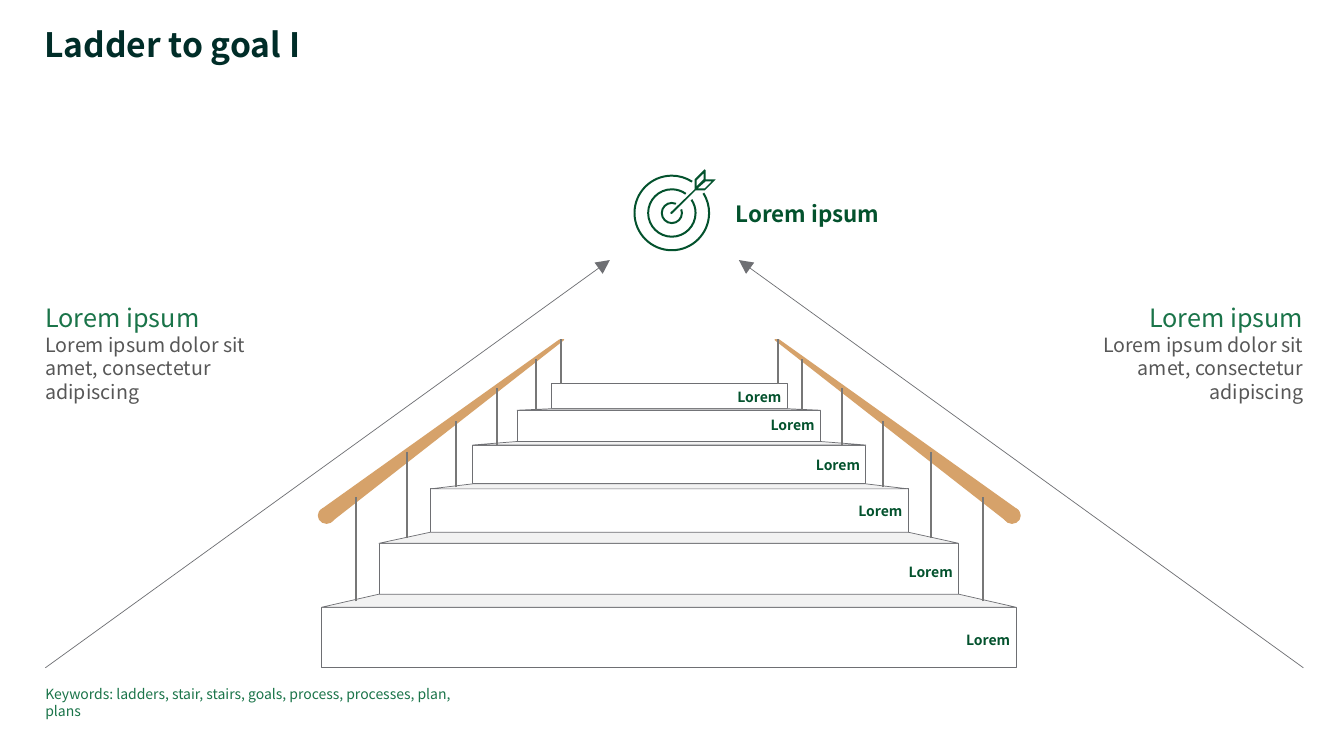
import dataclasses
import itertools
import math

import lxml.etree
import pptx
import pptx.dml.color
import pptx.enum.shapes
import pptx.enum.text
import pptx.oxml.ns
import pptx.shapes.base
import pptx.slide
import pptx.util

Align = pptx.enum.text.PP_ALIGN
Anchor = pptx.enum.text.MSO_ANCHOR
Point = tuple[float, float]

# All lengths are in cells of a grid of 133.33 columns by 75 rows.
COLUMNS, ROWS = 133.33, 75
CELL = pptx.util.Inches(0.1)
STAIR_AXIS = 66.4
ARROW_AXIS = 66.9
TARGET_CENTRE = (66.65, 21.13)


@dataclasses.dataclass(frozen=True)
class Theme:
    font: str = "Noto Sans CJK JP"
    title: str = "002D28"
    dark_green: str = "03522D"
    green: str = "1A7449"
    body: str = "575757"
    outline: str = "6E6F73"
    post: str = "777777"
    tread: str = "F2F2F2"
    wood: str = "D6A26A"
    title_size: float = 24
    heading_size: float = 18
    goal_size: float = 16
    body_size: float = 14
    small_size: float = 10
    thin: float = 0.5
    rail: float = 1
    thick: float = 1.5


THEME = Theme()


@dataclasses.dataclass(frozen=True)
class Step:
    left: float
    top: float
    width: float
    height: float
    label_top: float

    @property
    def right(self) -> float:
        return self.left + self.width

    @property
    def bottom(self) -> float:
        return self.top + self.height


@dataclasses.dataclass(frozen=True)
class Post:
    offset: float
    bottom: float
    top: float


@dataclasses.dataclass(frozen=True)
class Ring:
    radius: float
    gap_start: float
    gap_end: float


@dataclasses.dataclass(frozen=True)
class Line:
    text: str
    size: float
    color: str
    bold: bool = False


STEPS = [Step(31.9, 60.25, 68.9, 5.98, 62.25), Step(37.6, 53.9, 57.5, 5.05, 55.5),
         Step(42.7, 48.5, 47.4, 4.3, 49.5), Step(46.9, 44.15, 39, 3.85, 44.9),
         Step(51.3, 40.7, 30.1, 3.1, 41), Step(54.7, 38.05, 23.4, 2.5, 38.2)]
POSTS = [Post(31.1, 59.65, 49.35), Post(26, 53.4, 44.8), Post(21.2, 48.35, 41.8),
         Post(17.1, 44.15, 38.45), Post(13.2, 40.7, 35.65), Post(10.75, 38.1, 33.65)]
RAIL = [(34.6, 50.65), (10.9, 33.75), (10.5, 33.7), (33.6, 51.75)]
RINGS = [Ring(3.8, 32, 57), Ring(2.45, 34, 54), Ring(1.1, 21, 66)]
RING_THICKNESS = 0.2
DART = [
    [(71, 17.8), (70, 17.8), (70, 16.9), (69.9, 16.8), (68.9, 17.8), (68.9, 18.8), (66.5, 21.1),
     (66.55, 21.25), (66.7, 21.2), (69, 18.9), (69.9, 18.9), (70.9, 17.9)],
    [(69.1, 17.9), (69.8, 17.2), (69.8, 17.8), (69.1, 18.5)],
    [(69.9, 18.7), (69.2, 18.7), (70, 18), (70.6, 18)],
]


def cells(value: float) -> int:
    return round(value * CELL)


def color(code: str) -> pptx.dml.color.RGBColor:
    return pptx.dml.color.RGBColor.from_string(code)


def paint(shape: pptx.shapes.base.BaseShape, fill: str | None, line: str | None, width: float = 0) -> None:
    shape.shadow.inherit = False
    if fill:
        shape.fill.solid()
        shape.fill.fore_color.rgb = color(fill)
    else:
        shape.fill.background()
    if line:
        shape.line.color.rgb = color(line)
        shape.line.width = pptx.util.Pt(width)
    else:
        shape.line.fill.background()


def add_outline(shapes, contours: list[list[Point]]):
    """Build one freeform from one or more closed contours."""
    scaled = [[(cells(x), cells(y)) for x, y in contour] for contour in contours]
    builder = shapes.build_freeform(*scaled[0][0])
    for index, contour in enumerate(scaled):
        if index:
            builder.move_to(*contour[0])
        builder.add_line_segments(contour[1:], close=True)
    return builder.convert_to_shape()


def add_line(slide: pptx.slide.Slide, start: Point, end: Point, line: str, width: float,
             arrow: bool = False) -> None:
    connector = slide.shapes.add_connector(
        pptx.enum.shapes.MSO_CONNECTOR.STRAIGHT, *map(cells, (*start, *end)))
    connector.line.color.rgb = color(line)
    connector.line.width = pptx.util.Pt(width)
    if arrow:
        lxml.etree.SubElement(connector.line._get_or_add_ln(), pptx.oxml.ns.qn("a:tailEnd"),
                              type="triangle", w="lg", len="lg")
    lxml.etree.SubElement(connector._element.spPr, pptx.oxml.ns.qn("a:effectLst"))


def add_text(slide: pptx.slide.Slide, box: tuple[float, float, float, float], lines: list[Line],
             align: Align = Align.LEFT, anchor: Anchor = Anchor.MIDDLE, grow: bool = False,
             spacing: float | None = None) -> None:
    frame = slide.shapes.add_textbox(*map(cells, box)).text_frame
    frame.margin_left = frame.margin_right = frame.margin_top = frame.margin_bottom = 0
    frame.word_wrap = True
    frame.vertical_anchor = anchor
    if grow:
        frame.auto_size = pptx.enum.text.MSO_AUTO_SIZE.SHAPE_TO_FIT_TEXT
    for index, line in enumerate(lines):
        paragraph = frame.add_paragraph() if index else frame.paragraphs[0]
        paragraph.alignment = align
        if spacing:
            paragraph.line_spacing = spacing
        run = paragraph.add_run()
        run.text = line.text
        run.font.name = THEME.font
        run.font.size = pptx.util.Pt(line.size)
        run.font.bold = line.bold
        run.font.color.rgb = color(line.color)


def add_stairs(slide: pptx.slide.Slide) -> None:
    for step in STEPS:
        riser = slide.shapes.add_shape(pptx.enum.shapes.MSO_SHAPE.RECTANGLE, *map(
            cells, (step.left, step.top, step.width, step.height)))
        paint(riser, None, THEME.outline, THEME.thin)
    for front, back in itertools.pairwise(STEPS):
        tread = add_outline(slide.shapes, [[(front.left, front.top), (back.left, back.bottom),
                                            (back.right, back.bottom), (front.right, front.top)]])
        paint(tread, THEME.tread, THEME.outline, THEME.thin)
    for step in STEPS:
        add_text(slide, (step.right - 4.95, step.label_top, 5, 2.4),
                 [Line("Lorem", THEME.small_size, THEME.dark_green, True)])


def add_banister(slide: pptx.slide.Slide, side: int) -> None:
    """Draw rail, knob and posts left (-1) or right (1) of the stair axis."""
    rail = add_outline(slide.shapes, [[(STAIR_AXIS + side * x, y) for x, y in RAIL]])
    knob = slide.shapes.add_shape(pptx.enum.shapes.MSO_SHAPE.OVAL, *map(
        cells, (STAIR_AXIS + side * 34 - 0.8, 50.4, 1.6, 1.5)))
    for shape in (rail, knob):
        paint(shape, THEME.wood, THEME.wood, THEME.rail)
    for post in POSTS:
        x = STAIR_AXIS + side * post.offset
        add_line(slide, (x, post.bottom), (x, post.top), THEME.post, THEME.thick)


def ring_arc(ring: Ring, radius: float) -> list[Point]:
    """Bezier points around the ring, from one end of its gap to the other."""
    def polar(angle: float, reach: float = 0) -> Point:
        cosine, sine = math.cos(angle), math.sin(angle)
        return (TARGET_CENTRE[0] + radius * (cosine - reach * sine),
                TARGET_CENTRE[1] - radius * (sine + reach * cosine))

    angles = [math.radians(a) for a in (ring.gap_end, 90, 180, 270, 360, 360 + ring.gap_start)]
    points = [polar(angles[0])]
    for start, end in itertools.pairwise(angles):
        reach = 4 / 3 * math.tan((end - start) / 4)
        points += [polar(start, reach), polar(end, -reach), polar(end)]
    return points


def add_ring(shapes, ring: Ring):
    outer, inner = ring_arc(ring, ring.radius), ring_arc(ring, ring.radius - RING_THICKNESS)
    shape = add_outline(shapes, [outer + inner[::-1]])
    segments = list(shape._element.iter(pptx.oxml.ns.qn("a:lnTo")))
    arc_length = len(outer) - 1
    for arc in (segments[:arc_length], segments[arc_length + 1:]):
        for first in range(0, arc_length, 3):
            curve = lxml.etree.Element(pptx.oxml.ns.qn("a:cubicBezTo"))
            arc[first].addprevious(curve)
            for segment in arc[first:first + 3]:
                curve.append(segment[0])
                segment.getparent().remove(segment)
    return shape


def add_target(slide: pptx.slide.Slide) -> None:
    shapes = slide.shapes.add_group_shape().shapes
    for shape in [*(add_ring(shapes, ring) for ring in RINGS), add_outline(shapes, DART)]:
        paint(shape, THEME.dark_green, None)


def main() -> None:
    presentation = pptx.Presentation()
    presentation.slide_width, presentation.slide_height = cells(COLUMNS), cells(ROWS)
    slide = presentation.slides.add_slide(presentation.slide_layouts[6])
    add_text(slide, (4.4, 2.8, 110.3, 3.7), [Line("Ladder to goal I", THEME.title_size, THEME.title, True)],
             anchor=Anchor.TOP, grow=True, spacing=0.9)
    add_stairs(slide)
    for side, left, align in ((1, 105.2, Align.RIGHT), (-1, 4.5, Align.LEFT)):
        add_banister(slide, side)
        add_text(slide, (left, 31.15, 24.1, 7.7),
                 [Line("Lorem ipsum", THEME.heading_size, THEME.green),
                  Line("Lorem ipsum dolor sit amet, consectetur adipiscing", THEME.body_size, THEME.body)],
                 align, grow=True)
        add_line(slide, (ARROW_AXIS + side * 62.4, 66.25), (ARROW_AXIS + side * 6.4, 25.8),
                 THEME.outline, THEME.thin, arrow=True)
    add_target(slide)
    add_text(slide, (73, 19.5, 56.3, 3.3), [Line("Lorem ipsum", THEME.goal_size, THEME.dark_green, True)])
    add_text(slide, (4.5, 68, 43.4, 1.7),
             [Line("Keywords: ladders, stair, stairs, goals, process, processes, plan, plans",
                   THEME.small_size, THEME.green)], anchor=Anchor.TOP, grow=True)
    presentation.save("out.pptx")


if __name__ == "__main__":
    main()
